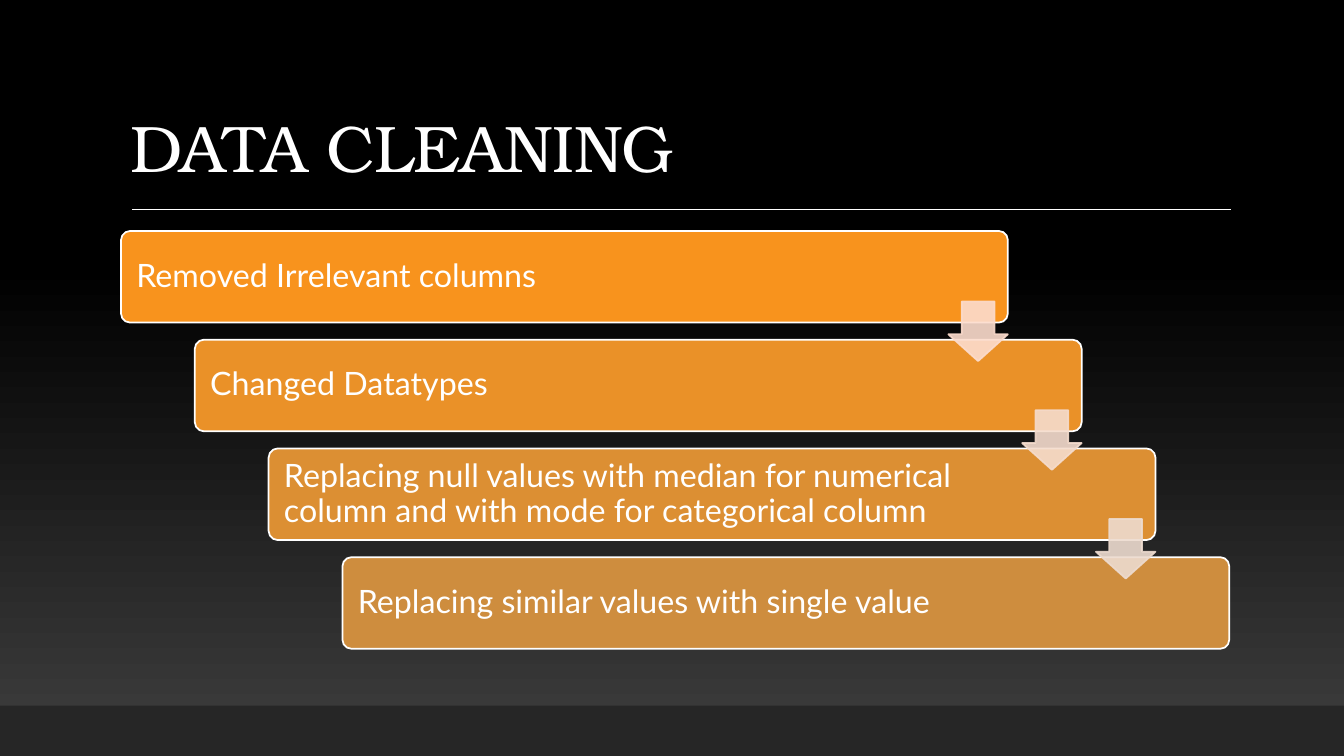
import pptx
import pptx.util
import pptx.dml.color
import pptx.enum.shapes
import pptx.enum.text
import pptx.oxml.ns
import pptx.oxml.xmlchemy

Cm = pptx.util.Cm
Pt = pptx.util.Pt
RGBColor = pptx.dml.color.RGBColor
MSO_SHAPE = pptx.enum.shapes.MSO_SHAPE
MSO_ANCHOR = pptx.enum.text.MSO_ANCHOR
OxmlElement = pptx.oxml.xmlchemy.OxmlElement
qn = pptx.oxml.ns.qn

WHITE = RGBColor(0xFF, 0xFF, 0xFF)
BLACK = RGBColor(0x00, 0x00, 0x00)
CHARCOAL = RGBColor(0x3F, 0x3F, 0x3F)
FOOTER_GRAY = RGBColor(0x26, 0x26, 0x26)

STEPS = [
    ("Removed Irrelevant columns", RGBColor(0xF8, 0x93, 0x1D)),
    ("Changed Datatypes", RGBColor(0xEA, 0x91, 0x28)),
    ("Replacing null values with median for numerical column "
     "and with mode for categorical column", RGBColor(0xDC, 0x8F, 0x33)),
    ("Replacing similar values with single value", RGBColor(0xCE, 0x8D, 0x3E)),
]
ARROW_COLORS = [
    RGBColor(0xFC, 0xDC, 0xCD),
    RGBColor(0xF5, 0xDC, 0xCD),
    RGBColor(0xED, 0xDB, 0xCF),
]

# Staircase geometry in centimetres
LEFT, TOP = 3.05, 5.82
STEP_X, STEP_Y = 1.86, 2.74
BAR_WIDTH, BAR_HEIGHT = 22.35, 2.31
ARROW_SIZE, ARROW_DROP = 1.5, 1.78


def add_box(kind, left, top, width, height):
    shape = slide.shapes.add_shape(kind, Cm(left), Cm(top), Cm(width), Cm(height))
    shape.shadow.inherit = False
    return shape


def style_text(paragraph, font_name, size):
    paragraph.line_spacing = 0.9
    paragraph.font.name = font_name
    paragraph.font.size = Pt(size)
    paragraph.font.color.rgb = WHITE


presentation = pptx.Presentation()
presentation.slide_width = Cm(33.87)
presentation.slide_height = Cm(19.05)
slide = presentation.slides.add_slide(presentation.slide_layouts[6])

# Background, fading from charcoal at the bottom to black
backdrop = add_box(MSO_SHAPE.RECTANGLE, 0, 0, 33.87, 19.05)
backdrop.line.fill.background()
for fill in (slide.background.fill, backdrop.fill):
    fill.gradient()
    fill.gradient_angle = 90
    for stop, position, color in zip(fill.gradient_stops, (0, 0.65), (CHARCOAL, BLACK)):
        stop.position = position
        stop.color.rgb = color

# Title
title = slide.shapes.add_textbox(Cm(3.05), Cm(0.79), Cm(27.94), Cm(4.04))
title.text_frame.word_wrap = True
title.text_frame.vertical_anchor = MSO_ANCHOR.BOTTOM
paragraph = title.text_frame.paragraphs[0]
run = paragraph.add_run()
run.text = "DATA CLEANING"
run.font._element.set("spc", "-50")
style_text(paragraph, "TeX Gyre Bonum", 47)

# Rule under the title
rule = slide.shapes.add_connector(
    pptx.enum.shapes.MSO_CONNECTOR.STRAIGHT, Cm(3.33), Cm(5.28), Cm(31.01), Cm(5.28))
rule.line.color.rgb = WHITE
rule.line.width = Pt(1)
rule._element.spPr.append(OxmlElement("a:effectLst"))

# Footer band
footer = add_box(MSO_SHAPE.RECTANGLE, 0, 17.78, 33.87, 1.27)
footer.fill.solid()
footer.fill.fore_color.rgb = FOOTER_GRAY
footer.line.fill.background()

# Steps
for index, (text, color) in enumerate(STEPS):
    bar = add_box(MSO_SHAPE.ROUNDED_RECTANGLE, LEFT + index * STEP_X,
                  TOP + index * STEP_Y, BAR_WIDTH, BAR_HEIGHT)
    bar.adjustments[0] = 0.1
    bar.fill.solid()
    bar.fill.fore_color.rgb = color
    bar.line.color.rgb = WHITE
    bar.line.width = Pt(1.25)
    frame = bar.text_frame
    frame.word_wrap = True
    frame.vertical_anchor = MSO_ANCHOR.MIDDLE
    frame.margin_left, frame.margin_right = Cm(0.32), Cm(3.6)
    paragraph = frame.paragraphs[0]
    paragraph.text = text
    paragraph.alignment = pptx.enum.text.PP_ALIGN.LEFT
    style_text(paragraph, "Lato", 23)

# Arrows, flush with the right edge of the bar they leave
for index, color in enumerate(ARROW_COLORS):
    arrow = add_box(MSO_SHAPE.DOWN_ARROW,
                    LEFT + BAR_WIDTH - ARROW_SIZE + index * STEP_X,
                    TOP + ARROW_DROP + index * STEP_Y, ARROW_SIZE, ARROW_SIZE)
    arrow.adjustments[0] = 0.55
    arrow.adjustments[1] = 0.45
    arrow.fill.solid()
    arrow.fill.fore_color.rgb = color
    arrow.line.color.rgb = color
    arrow.line.width = Pt(1.25)
    for color_element in arrow._element.spPr.iter(qn("a:srgbClr")):
        alpha = OxmlElement("a:alpha")
        alpha.set("val", "90000")
        color_element.append(alpha)

presentation.save("out.pptx")
